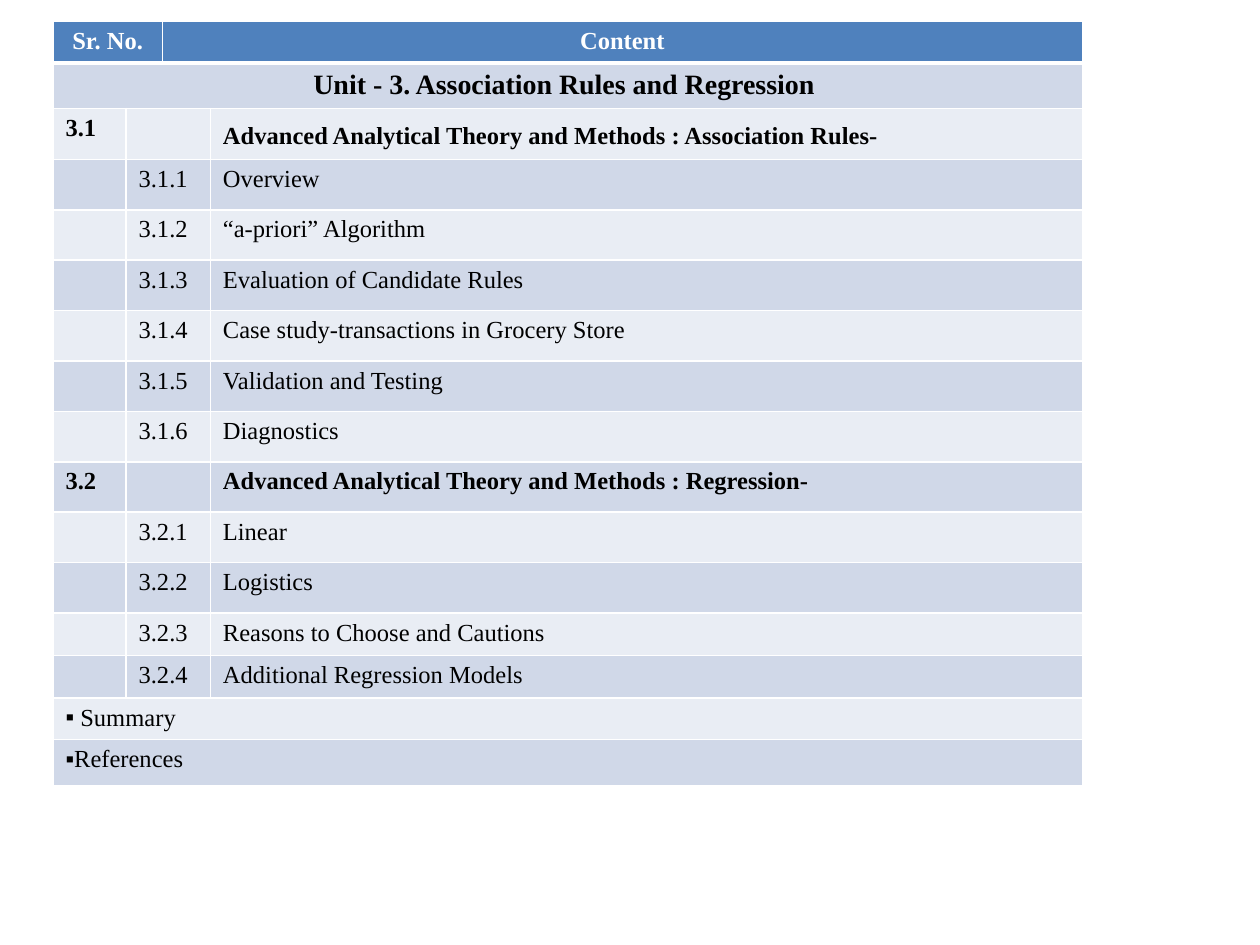
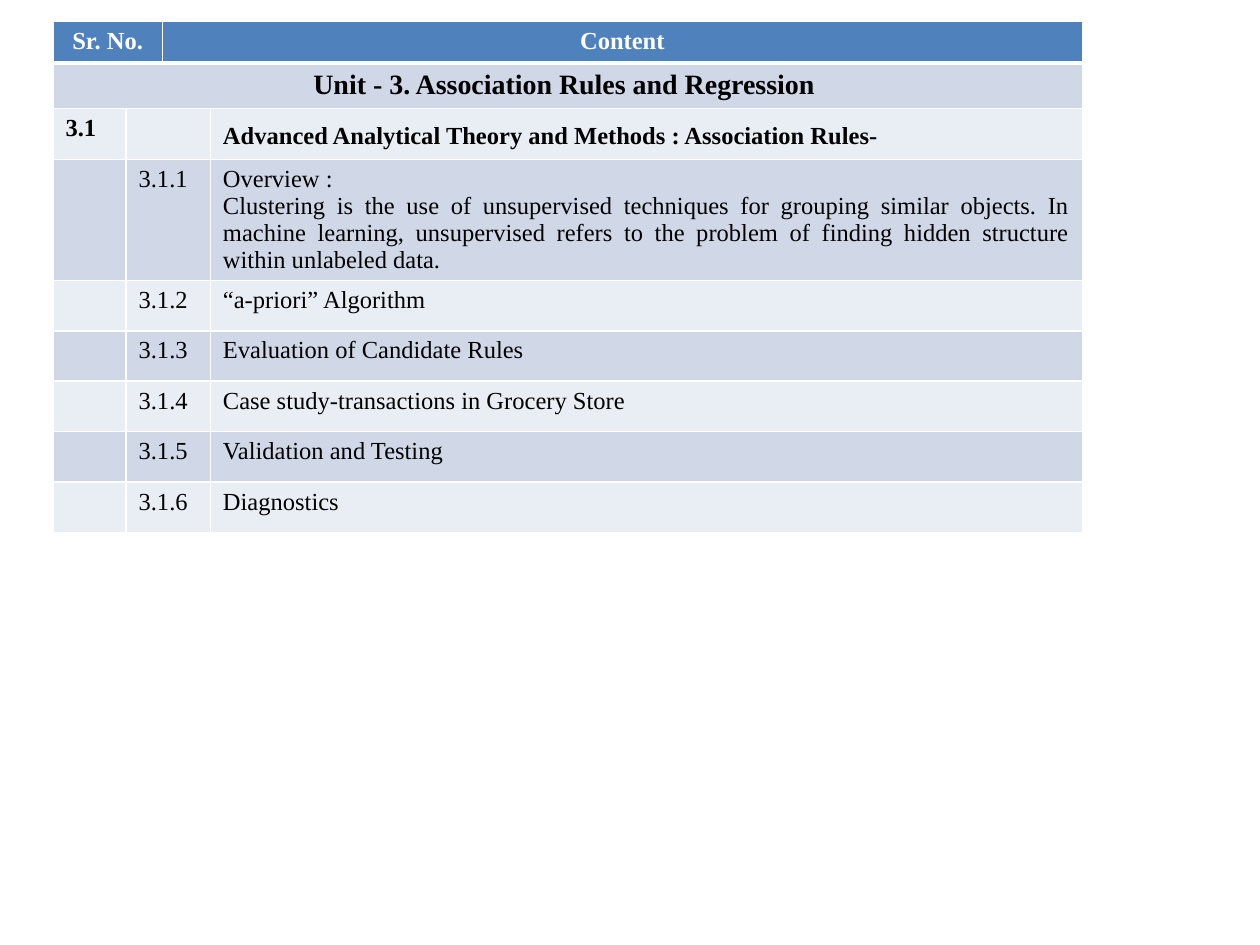
from dataclasses import dataclass

from lxml import etree
from pptx import Presentation
from pptx import util as u
from pptx.dml.color import RGBColor
from pptx.enum import text
from pptx.oxml.ns import qn


@dataclass(frozen=True)
class Theme:
    font: str = "Times New Roman"
    spacer_font: str = "Calibri"
    header_fill: str = "4F81BD"
    bands: tuple = ("D0D8E8", "E9EDF4")
    white: str = "FFFFFF"
    black: str = "000000"
    body: int = 14
    title: int = 16
    spacer: int = 18
    thin: int = 1
    thick: int = 3


CENTER = text.PP_ALIGN.CENTER
JUSTIFY = text.PP_ALIGN.JUSTIFY

LEFT, TOP = 0.42, 0.17
COLUMNS = (0.58, 0.29, 0.38, 6.92)
HEADER_H, UNIT_H, TOPIC_H, SHORT_H, LAST_H = 0.33, 0.36, 0.4, 0.33, 0.37
OVERVIEW_H = 0.95

UNIT = "Unit - 3. Association Rules and Regression "
RULES = "Advanced Analytical Theory and Methods : Association Rules- "
REGRESSION = "Advanced Analytical Theory and Methods : Regression- "
RULE_TOPICS = ["“a-priori” Algorithm", "Evaluation of Candidate Rules",
               "Case study-transactions in Grocery Store",
               "Validation and Testing", "Diagnostics"]
REGRESSION_TOPICS = ["Linear", "Logistics", "Reasons to Choose and Cautions",
                     "Additional Regression Models"]
CLUSTERING = ("Clustering is the use of unsupervised techniques for grouping similar "
              "objects. In machine learning, unsupervised refers to the problem of "
              "finding hidden structure within unlabeled data.")


class Deck:
    def __init__(self, theme):
        self.theme = theme
        self.prs = Presentation()
        self.prs.slide_width, self.prs.slide_height = u.Inches(10), u.Inches(7.5)
        self.s = None
        self.table = None

    def slide(self):
        self.s = self.prs.slides.add_slide(self.prs.slide_layouts[6])

    def run(self, p, words, size=None, bold=False, color=None, font=None):
        r = p.add_run()
        r.text = words
        r.font.name = font or self.theme.font
        r.font.size = u.Pt(size or self.theme.body)
        r.font.bold = bold
        r.font.color.rgb = RGBColor.from_string(color or self.theme.black)

    def border(self, cell, side, width):
        """Side is L, R, T or B; call in that order, before the cell is filled."""
        line = etree.SubElement(cell._tc.get_or_add_tcPr(), qn(f"a:ln{side}"),
                                w=str(u.Pt(width)))
        fill = etree.SubElement(line, qn("a:solidFill"))
        etree.SubElement(fill, qn("a:srgbClr"), val=self.theme.white)

    def bullet(self, p):
        props = p._p.get_or_add_pPr()
        etree.SubElement(props, qn("a:buFont"), typeface=self.theme.font)
        etree.SubElement(props, qn("a:buChar"), char="▪")

    def grid(self, heights):
        t = self.theme
        frame = self.s.shapes.add_table(
            len(heights), len(COLUMNS), u.Inches(LEFT), u.Inches(TOP),
            u.Inches(sum(COLUMNS)), u.Inches(sum(heights)))
        self.table = frame.table
        self.table.first_row = self.table.horz_banding = False
        for column, width in zip(self.table.columns, COLUMNS):
            column.width = u.Inches(width)
        for i, (row, height) in enumerate(zip(self.table.rows, heights)):
            row.height = u.Inches(height)
            color = t.bands[(i - 1) % 2] if i else t.header_fill
            for cell in row.cells:
                for side in "LRTB":
                    under_header = (i, side) in ((0, "B"), (1, "T"))
                    self.border(cell, side, t.thick if under_header else t.thin)
                cell.fill.solid()
                cell.fill.fore_color.rgb = RGBColor.from_string(color)
                # empty cells would otherwise stretch the short rows
                etree.SubElement(cell.text_frame.paragraphs[0]._p, qn("a:endParaRPr"),
                                 sz=str(t.body * 100))

    def cell(self, row, first, last, words="", align=None, **style):
        """Write into the columns first to last, merged; return the paragraph."""
        cell = self.table.cell(row, first)
        if last > first:
            cell.merge(self.table.cell(row, last))
        p = cell.text_frame.paragraphs[0]
        if align:
            p.alignment = align
        if words:
            self.run(p, words, **style)
        return p

    def header(self):
        t = self.theme
        for first, last, words in ((0, 1, "Sr. No."), (2, 3, "Content")):
            self.cell(0, first, last, words, CENTER, bold=True, color=t.white)
        self.cell(1, 0, 3, UNIT, CENTER, size=t.title, bold=True)

    def section(self, row, number, heading, topics):
        """A bold heading row, then one numbered row for each topic."""
        self.cell(row, 0, 0, number, bold=True)
        self.cell(row, 1, 2)
        heading_p = self.cell(row, 3, 3, heading, bold=True)
        for i, topic in enumerate(topics, 1):
            self.cell(row + i, 1, 2, f"{number}.{i}")
            self.cell(row + i, 3, 3, topic)
        return heading_p

    def rules_section(self, overview):
        p = self.section(2, "3.1", RULES, [overview] + RULE_TOPICS)
        self.run(p, "\t", size=self.theme.spacer, font=self.theme.spacer_font)

    def closing(self, row, words):
        self.bullet(self.cell(row, 0, 3, words))


def contents_slide(deck):
    deck.slide()
    deck.grid([HEADER_H, UNIT_H] + [TOPIC_H] * 10 + [SHORT_H] * 3 + [LAST_H])
    deck.header()
    deck.rules_section("Overview")
    deck.section(9, "3.2", REGRESSION, REGRESSION_TOPICS)
    deck.closing(14, " Summary")
    deck.closing(15, "References")


def overview_slide(deck):
    deck.slide()
    deck.grid([HEADER_H, UNIT_H, TOPIC_H, OVERVIEW_H] + [TOPIC_H] * 5)
    deck.header()
    deck.rules_section("Overview :")
    p = deck.table.cell(3, 3).text_frame.add_paragraph()
    p.alignment = JUSTIFY
    deck.run(p, CLUSTERING)


def main():
    deck = Deck(Theme())
    contents_slide(deck)
    overview_slide(deck)
    deck.prs.save("out.pptx")


if __name__ == "__main__":
    main()
